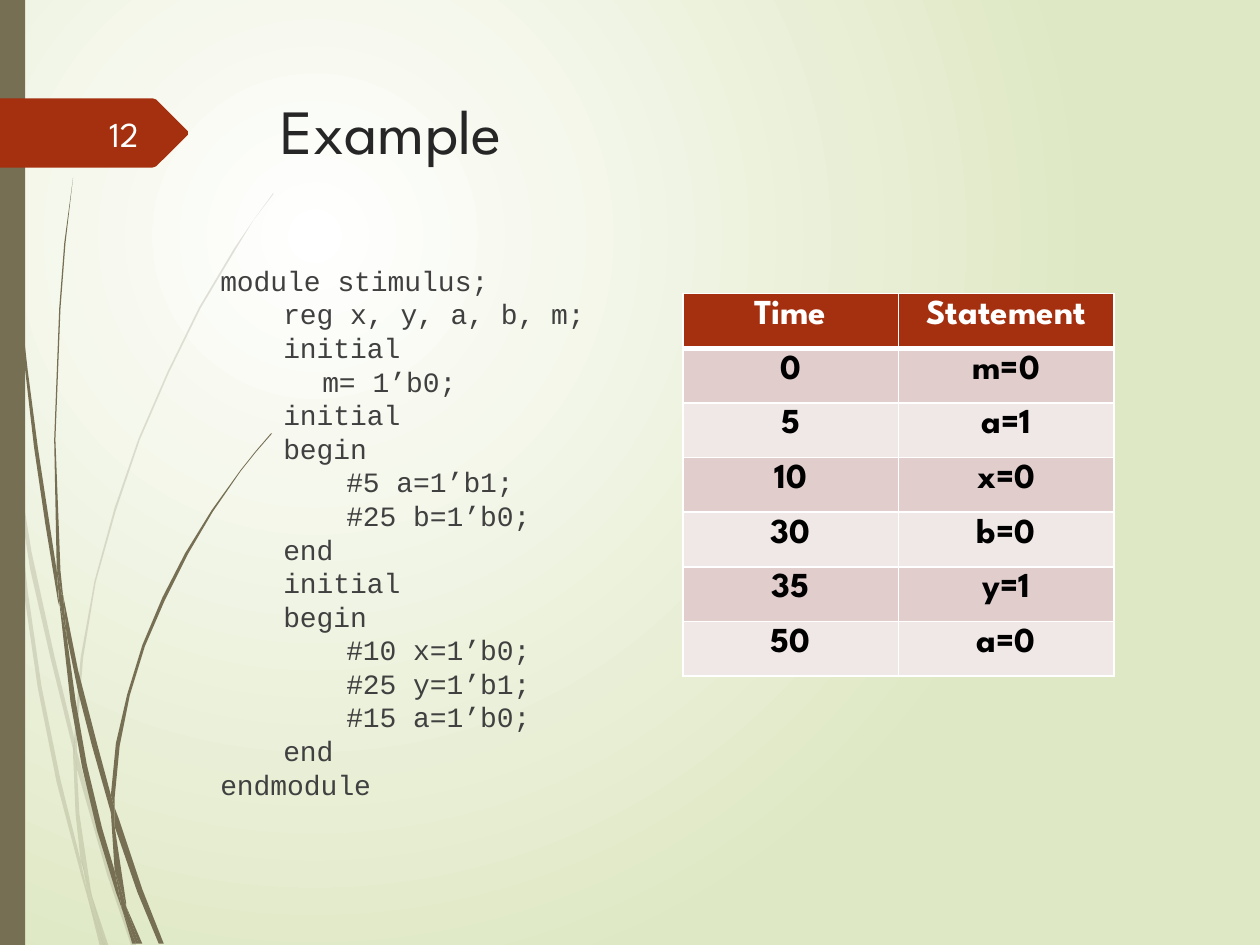
from dataclasses import dataclass
from typing import Optional

from lxml import etree
from pptx import Presentation
from pptx import util as u
from pptx.dml.color import RGBColor
from pptx.enum import shapes, text
from pptx.oxml.ns import qn

COLORS = {
    "white": "FFFFFF", "page": "DFE8C4", "olive": "766F54", "rust": "A53010",
    "title": "262626", "code": "404040", "number": "FEFFFF",
    "black": "000000", "dark band": "E1CDCC", "light band": "F0E8E7",
}
SANS, MONO = "League Spartan", "Courier New"

# Grass blades: outlines in hundredths of an inch
PALE_GRASS = [
    [(8, 350), (6, 322), (0, 282), (0, 299), (7, 344)],
    [(40, 522), (59, 599), (59, 586), (43, 520), (25, 438), (10, 345), (12, 376), (24, 452)],
    [(64, 607), (61, 596), (61, 610), (85, 694), (104, 750), (108, 750), (88, 692)],
    [(83, 750), (86, 750), (73, 711)],
    [(64, 683), (48, 619), (33, 545), (22, 469), (12, 376), (8, 350), (19, 470),
     (30, 546), (45, 621), (64, 693), (70, 714), (69, 707)],
    [(58, 599), (60, 646), (64, 683), (67, 692), (73, 711), (72, 706), (63, 646), (61, 608)],
    [(61, 584), (66, 522), (76, 462), (92, 405), (111, 349), (134, 296), (159, 245),
     (187, 198), (201, 175), (217, 154), (217, 153), (201, 175), (186, 197), (158, 244),
     (133, 295), (110, 348), (91, 403), (75, 461), (64, 522), (59, 584), (59, 586), (61, 596)],
    [(70, 714), (79, 750), (82, 750)],
    [(61, 608), (61, 596), (59, 586), (58, 599)],
    [(67, 692), (65, 683), (69, 707), (70, 714), (82, 750), (83, 750), (73, 711)],
]
SOLID_GRASS = [
    [(5, 110), (14, 233), (20, 294), (27, 355), (36, 416), (46, 477), (47, 481),
     (45, 453), (30, 355), (22, 294), (15, 232), (6, 109), (4, 48), (3, 0), (2, 0), (3, 48)],
    [(73, 592), (88, 645), (88, 631), (77, 590), (62, 532), (50, 472), (53, 505), (62, 549)],
    [(94, 649), (91, 641), (91, 656), (109, 708), (126, 749), (130, 749), (113, 706)],
    [(91, 691), (81, 657), (69, 607), (60, 556), (53, 505), (47, 477), (56, 557),
     (65, 608), (77, 659), (92, 708), (97, 722), (96, 717)],
    [(50, 472), (48, 453), (44, 349), (48, 245), (52, 193), (58, 141), (51, 193),
     (47, 245), (43, 349), (45, 449), (49, 472)],
    [(110, 749), (113, 749), (100, 719)],
    [(47, 477), (53, 505), (50, 472), (49, 472), (45, 449), (45, 453)],
    [(91, 633), (95, 592), (103, 552), (115, 513), (131, 476), (149, 440), (169, 406),
     (191, 374), (203, 359), (216, 344), (215, 344), (203, 358), (191, 373), (168, 405),
     (147, 439), (129, 474), (113, 512), (101, 551), (92, 590), (88, 631), (91, 641)],
    [(97, 722), (105, 749), (108, 749)],
    [(88, 645), (91, 691), (96, 706), (100, 719), (100, 716), (91, 656), (90, 651)],
    [(88, 645), (91, 656), (91, 641), (88, 631)],
    [(96, 706), (91, 691), (96, 717), (97, 722), (108, 749), (110, 749), (100, 719)],
]
NUMBER_TAG = [(149, 107), (124, 132), (121, 133), (0, 133), (0, 78), (121, 78), (124, 79), (149, 104)]


@dataclass
class CodeLine:
    wording: str
    indent: float = 0.5


@dataclass
class Label:
    wording: str
    box: tuple[float, float, float, float]
    size: int
    color: str
    align: text.PP_ALIGN = text.PP_ALIGN.LEFT
    anchor: text.MSO_ANCHOR = text.MSO_ANCHOR.TOP


CODE = [
    CodeLine("module stimulus;", 0),
    CodeLine("reg x, y, a, b, m;"),
    CodeLine("initial"),
    CodeLine("m= 1’b0;", 0.81),
    CodeLine("initial"),
    CodeLine("begin"),
    CodeLine("#5 a=1’b1;", 1),
    CodeLine("#25 b=1’b0;", 1),
    CodeLine("end"),
    CodeLine("initial"),
    CodeLine("begin"),
    CodeLine("#10 x=1’b0;", 1),
    CodeLine("#25 y=1’b1;", 1),
    CodeLine("#15 a=1’b0;", 1),
    CodeLine("end"),
    CodeLine("endmodule", 0),
]
LABELS = [
    Label("Example", (2.13, 0.68, 7.21, 1.4), 36, "title"),
    Label("12", (0.56, 0.86, 0.64, 0.4), 20, "number",
          text.PP_ALIGN.RIGHT, text.MSO_ANCHOR.MIDDLE),
]
TIMELINE = [("Time", "Statement"), ("0", "m=0"), ("5", "a=1"), ("10", "x=0"),
            ("30", "b=0"), ("35", "y=1"), ("50", "a=0")]


def rgb(name: str) -> RGBColor:
    return RGBColor.from_string(COLORS[name])


def paint(shape, color: str, opacity: Optional[int] = None) -> None:
    shape.shadow.inherit = False
    shape.fill.solid()
    shape.fill.fore_color.rgb = rgb(color)
    shape.line.fill.background()
    if opacity is not None:
        tint = shape.element.spPr.find(".//" + qn("a:srgbClr"))
        etree.SubElement(tint, qn("a:alpha")).set("val", str(opacity * 1000))


def add_outline(parent, points: list, color: str, opacity: Optional[int] = None) -> None:
    builder = parent.build_freeform(*points[0], scale=u.Inches(0.01))
    builder.add_line_segments(points[1:], close=True)
    paint(builder.convert_to_shape(), color, opacity)


def set_font(paragraph, face: str, size: int, color: str, bold: bool = False) -> None:
    font = paragraph.font
    font.name, font.size, font.bold = face, u.Pt(size), bold
    font.color.rgb = rgb(color)


def add_frame(slide, box: tuple):
    frame = slide.shapes.add_textbox(*map(u.Inches, box)).text_frame
    frame.word_wrap = True
    return frame


def add_label(slide, label: Label) -> None:
    frame = add_frame(slide, label.box)
    frame.vertical_anchor = label.anchor
    paragraph = frame.paragraphs[0]
    paragraph.text, paragraph.alignment = label.wording, label.align
    set_font(paragraph, SANS, label.size, label.color)


def add_code(slide, lines: list[CodeLine]) -> None:
    frame = add_frame(slide, (1.65, 1.74, 8.17, 5.75))
    frame.margin_top = u.Inches(0.35)
    for index, line in enumerate(lines):
        paragraph = frame.add_paragraph() if index else frame.paragraphs[0]
        paragraph.text = line.wording
        paragraph.line_spacing = u.Pt(19.2)
        paragraph._p.get_or_add_pPr().set("marL", str(u.Inches(line.indent)))
        set_font(paragraph, MONO, 16, "code")


def add_border(cell, side: str, width: float) -> None:
    line = etree.SubElement(cell._tc.get_or_add_tcPr(), qn(f"a:ln{side}"), w=str(u.Pt(width)))
    fill = etree.SubElement(line, qn("a:solidFill"))
    etree.SubElement(fill, qn("a:srgbClr"), val=COLORS["white"])


def add_timeline(slide, rows: list) -> None:
    row_height = 0.405
    frame = slide.shapes.add_table(len(rows), 2, u.Inches(5.42), u.Inches(2.33),
                                   u.Inches(3.42), u.Inches(row_height * len(rows)))
    table = frame.table
    for row, values in enumerate(rows):
        table.rows[row].height = u.Inches(row_height)
        band = "rust" if row == 0 else ("light band", "dark band")[row % 2]
        for column, value in enumerate(values):
            cell = table.cell(row, column)
            for side in "LRTB":
                header_rule = (row, side) in ((0, "B"), (1, "T"))
                add_border(cell, side, 3 if header_rule else 1)
            cell.fill.solid()
            cell.fill.fore_color.rgb = rgb(band)
            paragraph = cell.text_frame.paragraphs[0]
            paragraph.text, paragraph.alignment = value, text.PP_ALIGN.CENTER
            set_font(paragraph, SANS, 20, "black" if row else "white", bold=True)


def set_background(slide) -> None:
    fill = slide.background.fill
    fill.gradient()
    for stop, color in zip(fill.gradient_stops, ("white", "page")):
        stop.color.rgb = rgb(color)
    gradient = slide.element.find(".//" + qn("a:gradFill"))
    gradient.remove(gradient.find(qn("a:lin")))
    glow = etree.SubElement(gradient, qn("a:path"), {"path": "circle"})
    etree.SubElement(glow, qn("a:fillToRect"), l="50000", t="50000", r="100000", b="100000")


def main() -> None:
    presentation = Presentation()
    presentation.slide_width, presentation.slide_height = u.Inches(10), u.Inches(7.5)
    slide = presentation.slides.add_slide(presentation.slide_layouts[6])
    set_background(slide)

    # Grass, side bar and number tag
    for blades, opacity in ((PALE_GRASS, 20), (SOLID_GRASS, None)):
        group = slide.shapes.add_group_shape()
        for blade in blades:
            add_outline(group.shapes, blade, "olive", opacity)
    side_bar = slide.shapes.add_shape(shapes.MSO_SHAPE.RECTANGLE, 0, 0, u.Inches(0.2), u.Inches(7.5))
    paint(side_bar, "olive")
    add_outline(slide.shapes, NUMBER_TAG, "rust")

    # Title, slide number, code and timeline
    for label in LABELS:
        add_label(slide, label)
    add_code(slide, CODE)
    add_timeline(slide, TIMELINE)
    presentation.save("out.pptx")


if __name__ == "__main__":
    main()
